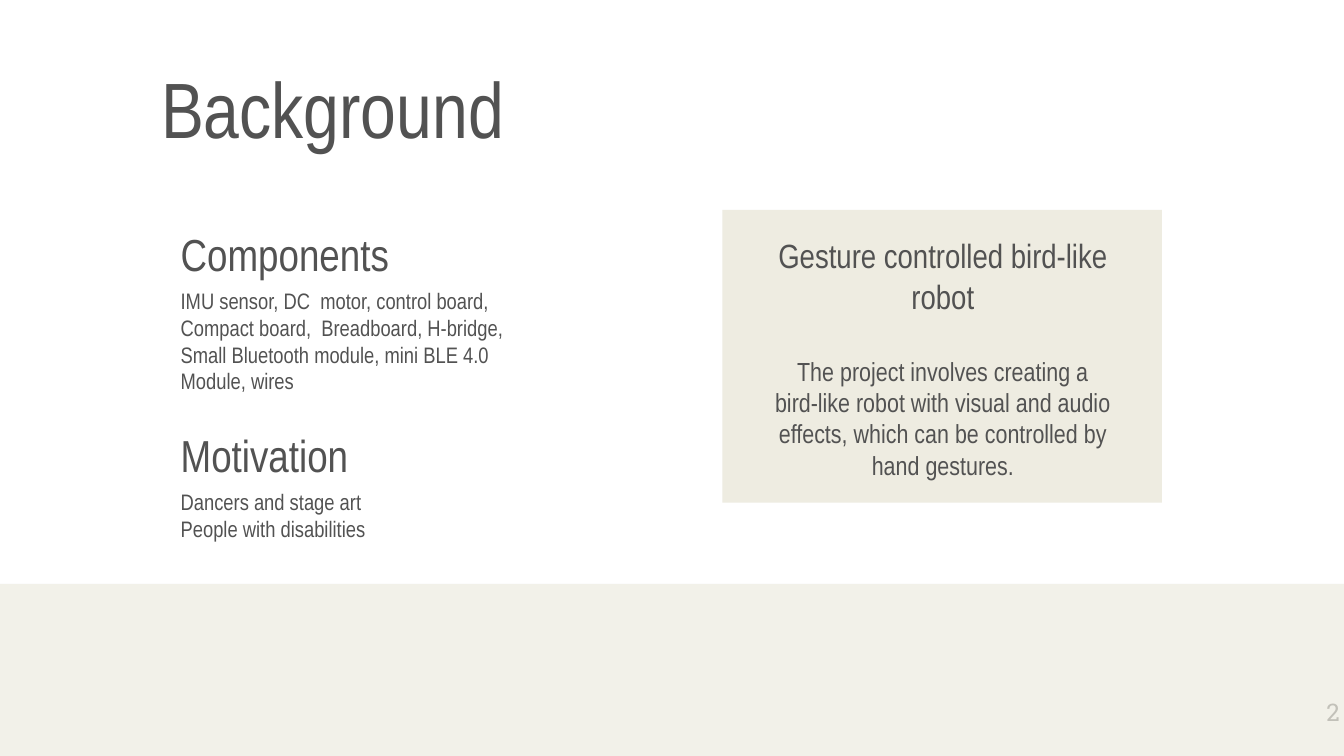
from lxml import etree
from pptx import Presentation
from pptx.dml.color import RGBColor
from pptx.enum.shapes import MSO_SHAPE
from pptx.enum.text import MSO_ANCHOR, MSO_AUTO_SIZE, PP_ALIGN
from pptx.oxml.ns import qn
from pptx.util import Pt

PX = 9525
SLIDE_WIDTH, SLIDE_HEIGHT = 960, 540
GREY = RGBColor(0x52, 0x52, 0x52)
CREAM = RGBColor(0xEE, 0xEC, 0xE1)
BODY_FONT = "Arial Narrow"
NUMBER_FONT = "Roboto Slab"
INSET = 10


def place(shape, box):
    shape.left, shape.top, shape.width, shape.height = (value * PX for value in box)


def write_text(shape, *lines, sizes=(12,), font=BODY_FONT, align=PP_ALIGN.LEFT,
               anchor=MSO_ANCHOR.TOP, inset=INSET, gap=0):
    frame = shape.text_frame
    frame.word_wrap = True
    frame.auto_size = MSO_AUTO_SIZE.NONE
    frame.vertical_anchor = anchor
    frame.margin_left = frame.margin_right = inset * PX
    frame.margin_top = frame.margin_bottom = inset * PX
    for index, line in enumerate(lines):
        paragraph = frame.add_paragraph() if index else frame.paragraphs[0]
        paragraph.alignment = align
        paragraph.space_before = Pt(gap if index else 0)
        run = paragraph.add_run()
        run.text = line
        run.font.name = font
        run.font.size = Pt(sizes[min(index, len(sizes) - 1)])
        run.font.color.rgb = GREY


def add_text(slide, box, *lines, **text_format):
    shape = slide.shapes.add_textbox(*(value * PX for value in box))
    write_text(shape, *lines, **text_format)


def add_panel(slide, box, opacity=100):
    panel = slide.shapes.add_shape(MSO_SHAPE.RECTANGLE, *(value * PX for value in box))
    panel.shadow.inherit = False
    panel.line.fill.background()
    panel.fill.solid()
    panel.fill.fore_color.rgb = CREAM
    if opacity < 100:
        color = panel.fill._xPr.find(".//" + qn("a:srgbClr"))
        etree.SubElement(color, qn("a:alpha"), val=str(opacity * 1000))


def add_title(slide, box, text):
    title = slide.shapes.title
    place(title, box)
    write_text(title, text, sizes=(42,), anchor=MSO_ANCHOR.BOTTOM, inset=0)


def add_section(slide, box, heading, *lines):
    left, top, width, height = box
    heading_height, body_offset = 94, 61
    add_text(slide, (left, top + body_offset, width, height - body_offset), *lines)
    add_text(slide, (left, top, width, heading_height), heading,
             sizes=(24,), anchor=MSO_ANCHOR.MIDDLE)


def add_summary_card(slide, box, heading, description):
    left, top, width, height = box
    add_panel(slide, box)
    add_text(slide, (left + 26, top + 8, width - 51, height - 11), heading, description,
             sizes=(18, 14), align=PP_ALIGN.CENTER, gap=21)


def main():
    presentation = Presentation()
    presentation.slide_width = SLIDE_WIDTH * PX
    presentation.slide_height = SLIDE_HEIGHT * PX
    slide = presentation.slides.add_slide(presentation.slide_layouts[5])

    add_text(slide, (899, 498, 58, 41), "2", sizes=(13,), font=NUMBER_FONT,
             align=PP_ALIGN.RIGHT, inset=0)
    add_title(slide, (115, 1, 874, 109), "Background")
    add_summary_card(
        slide, (516, 150, 314, 209), "Gesture controlled bird-like robot",
        "The project involves creating a bird-like robot with visual and audio effects, "
        "which can be controlled by hand gestures.")
    add_panel(slide, (-12, 417, 972, 190), opacity=72)
    add_section(
        slide, (119, 134, 263, 184), "Components",
        "IMU sensor, DC  motor, control board, Compact board,  Breadboard, H-bridge, "
        "Small Bluetooth module, mini BLE 4.0 Module, wires")
    add_section(slide, (119, 278, 263, 184), "Motivation",
                "Dancers and stage art", "People with disabilities")

    presentation.save("out.pptx")


if __name__ == "__main__":
    main()
